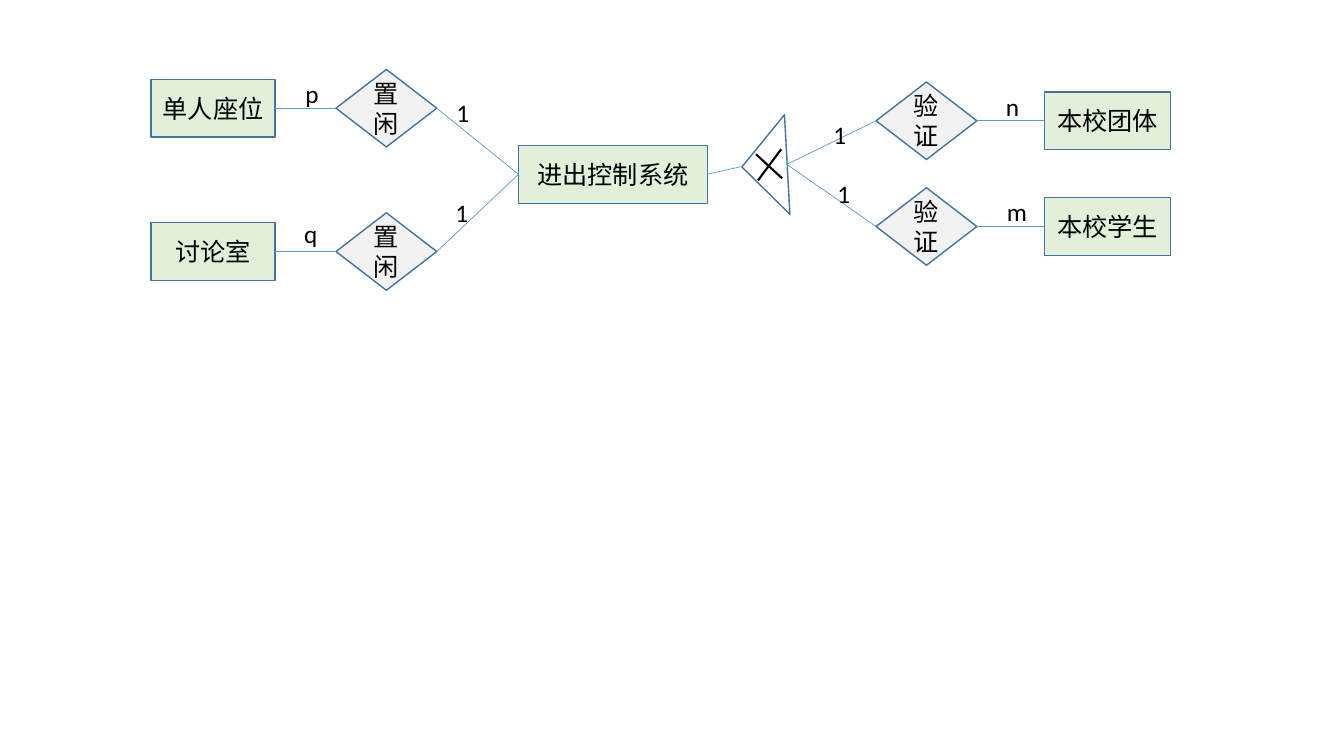
import pptx
import pptx.util
import pptx.dml.color
import pptx.enum.shapes
import pptx.enum.text
import pptx.oxml.ns
import lxml.etree

Pt = pptx.util.Pt
RGBColor = pptx.dml.color.RGBColor
Shape = pptx.enum.shapes.MSO_SHAPE
Align = pptx.enum.text.PP_ALIGN
Anchor = pptx.enum.text.MSO_ANCHOR

GREEN = RGBColor(0xE2, 0xF0, 0xD9)
GRAY = RGBColor(0xF2, 0xF2, 0xF2)
OUTLINE = RGBColor(0x43, 0x73, 0x9E)
LINK = RGBColor(0x5B, 0x9B, 0xD5)
BLACK = RGBColor(0, 0, 0)
FONT = "Calibri"

# Content: entity, relation and the height of their common axis
LEFT_ROWS = [("单人座位", "置闲", 77.3), ("讨论室", "置闲", 179.7)]
RIGHT_ROWS = [("本校团体", "验证", 86.3), ("本校学生", "验证", 161.8)]
HUB = "进出控制系统"
# Cardinalities: text, left, top, width, wraps
LABELS = [
    ("p", 211, 52.6, 24.5, False), ("q", 210.2, 152.2, 24.5, False),
    ("1", 319, 66.2, 23.8, True), ("1", 318.2, 137.5, 23.8, True),
    ("1", 588.2, 81.4, 23.8, True), ("1", 591.1, 123.8, 23.8, True),
    ("n", 711.4, 61.9, 23.8, True), ("m", 712.1, 136.8, 28.8, True),
]
CROSS = [((558, 106.6), (541.4, 128.9)), ((540, 110.2), (558.7, 127.4))]

# Layout in points
BOX_HEIGHT, DIAMOND_WIDTH, DIAMOND_HEIGHT = 41.4, 72, 55.4
LEFT_ENTITY = (108, 88.6)
LEFT_RELATION = 240
HUB_LEFT, HUB_WIDTH, HUB_AXIS = 370.4, 134.8, 124.5
GATE_CENTER, GATE_SIZE, GATE_TURN = (546.1, 118.4), (71.2, 32.4), 86.9
GATE_TIP, GATE_BASE = (529.9, 118.9), (562, 117.4)
RIGHT_RELATION = 625.8
RIGHT_ENTITY = (746, 90.2)
TOP, LEFT, BOTTOM, RIGHT = range(4)

deck = pptx.Presentation()
deck.slide_width, deck.slide_height = Pt(960), Pt(540)
page = deck.slides.add_slide(deck.slide_layouts[6])


def write(box, text, align=Align.LEFT, anchor=Anchor.TOP, wrap=True, size=18):
    frame = box.text_frame
    frame.word_wrap = wrap
    frame.vertical_anchor = anchor
    para = frame.paragraphs[0]
    para.alignment = align
    span = para.add_run()
    span.text = text
    span.font.name, span.font.size = FONT, Pt(size)
    span.font.color.rgb = BLACK


def node(kind, left, axis, width, height, fill=None, text=None):
    """Add a shape centred vertically on its axis."""
    shape = page.shapes.add_shape(kind, Pt(left), Pt(axis - height / 2),
                                  Pt(width), Pt(height))
    shape.shadow.inherit = False
    shape.line.color.rgb, shape.line.width = OUTLINE, Pt(1)
    if fill is None:
        shape.fill.background()
    else:
        shape.fill.solid()
        shape.fill.fore_color.rgb = fill
    if text:
        write(shape, text, align=Align.CENTER, anchor=Anchor.MIDDLE)
    return shape


def entity(left, axis, width, text):
    return node(Shape.RECTANGLE, left, axis, width, BOX_HEIGHT, GREEN, text)


def relation(left, axis, text):
    return node(Shape.DIAMOND, left, axis, DIAMOND_WIDTH, DIAMOND_HEIGHT, GRAY, text)


def link(start, end, color=LINK, width=0.5):
    """Join two ends, each either an (x, y) point or a (shape, side) pair."""
    line = page.shapes.add_connector(pptx.enum.shapes.MSO_CONNECTOR.STRAIGHT, 0, 0, 0, 0)
    line.line.color.rgb, line.line.width = color, Pt(width)
    # Free ends first, so that joined ends are placed last
    if isinstance(start[0], (int, float)):
        line.begin_x, line.begin_y = Pt(start[0]), Pt(start[1])
    else:
        line.begin_connect(*start)
    if isinstance(end[0], (int, float)):
        line.end_x, line.end_y = Pt(end[0]), Pt(end[1])
    else:
        line.end_connect(*end)
    properties = line._element.spPr
    lxml.etree.SubElement(properties, pptx.oxml.ns.qn("a:effectLst"))


# Hub and gate
hub = entity(HUB_LEFT, HUB_AXIS, HUB_WIDTH, HUB)
gate = node(Shape.FLOWCHART_MERGE, GATE_CENTER[0] - GATE_SIZE[0] / 2,
            GATE_CENTER[1], *GATE_SIZE)
gate.rotation = GATE_TURN
link((hub, RIGHT), GATE_TIP)
for start, end in CROSS:
    link(start, end, color=BLACK, width=1.5)

# Seats and rooms on the left, users on the right
sides = [
    (LEFT_ROWS, LEFT_ENTITY, LEFT_RELATION, LEFT, RIGHT, (hub, LEFT)),
    (RIGHT_ROWS, RIGHT_ENTITY, RIGHT_RELATION, RIGHT, LEFT, GATE_BASE),
]
for rows, (left, width), relation_left, outer, inner, target in sides:
    for name, verb, axis in rows:
        thing = entity(left, axis, width, name)
        diamond = relation(relation_left, axis, verb)
        link((diamond, outer), (thing, inner))
        link((diamond, inner), target)

# Cardinalities
for text, left, top, width, wrap in LABELS:
    label = page.shapes.add_textbox(Pt(left), Pt(top), Pt(width), Pt(29))
    write(label, text, wrap=wrap)
    label.text_frame.auto_size = pptx.enum.text.MSO_AUTO_SIZE.SHAPE_TO_FIT_TEXT

deck.save("out.pptx")
